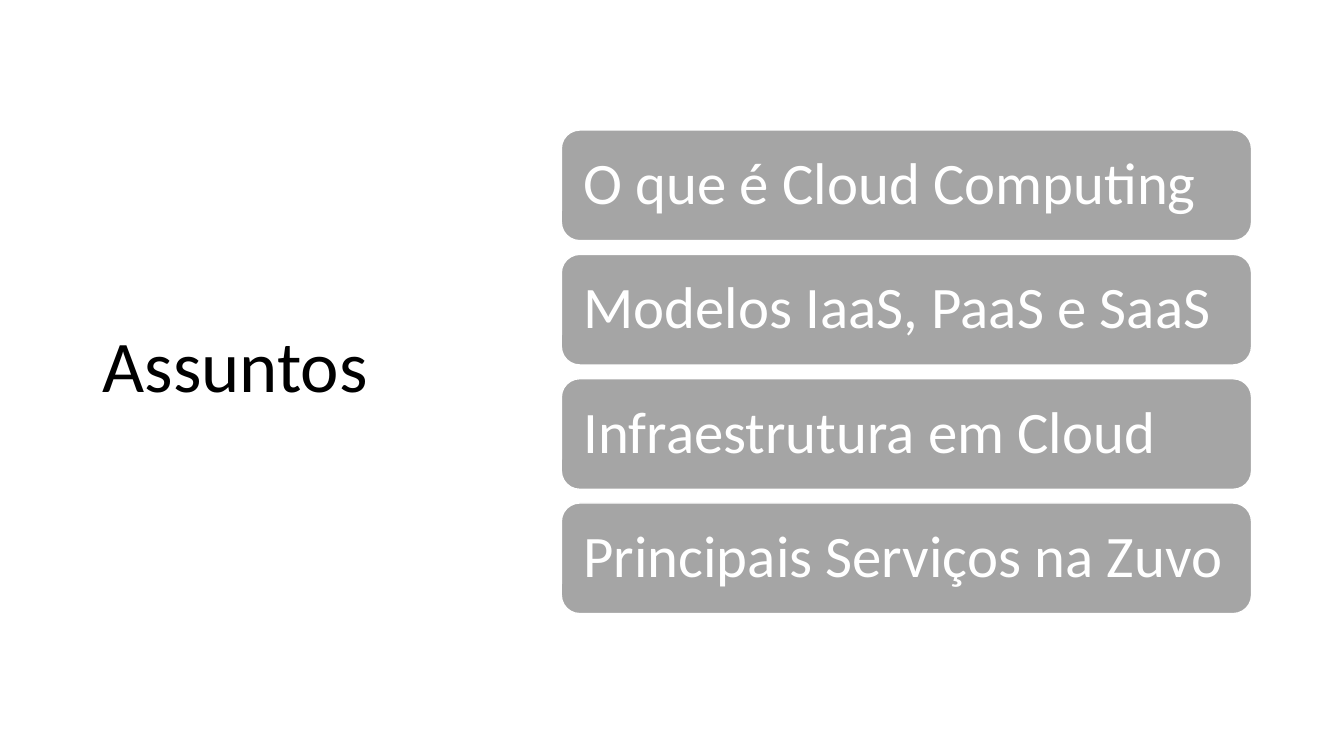
from dataclasses import dataclass

import pptx
import pptx.dml.color
import pptx.enum.shapes
import pptx.enum.text
import pptx.util

Pt = pptx.util.Pt
RGB = pptx.dml.color.RGBColor


@dataclass(frozen=True)
class Theme:
    font: str = "Calibri"
    title_size: int = 52
    topic_size: int = 42
    ink: RGB = RGB.from_string("000000")
    white: RGB = RGB.from_string("FFFFFF")
    bar: RGB = RGB.from_string("A5A5A5")


theme = Theme()


def write(shape, text, size, color):
    """Put one left-aligned, vertically centred line of text in the shape."""
    frame = shape.text_frame
    frame.word_wrap = True
    frame.vertical_anchor = pptx.enum.text.MSO_ANCHOR.MIDDLE
    paragraph = frame.paragraphs[0]
    paragraph.alignment = pptx.enum.text.PP_ALIGN.LEFT
    paragraph.line_spacing = 0.9
    run = paragraph.add_run()
    run.text = text
    run.font.name = theme.font
    run.font.size = Pt(size)
    run.font.color.rgb = color


deck = pptx.Presentation()
deck.slide_width = Pt(960)
deck.slide_height = Pt(540)
slide = deck.slides.add_slide(deck.slide_layouts[6])

heading = slide.shapes.add_textbox(Pt(66.2), Pt(43.9), Pt(265.7), Pt(438.5))
write(heading, "Assuntos", theme.title_size, theme.ink)

topics = [
    "O que é Cloud Computing",
    "Modelos IaaS, PaaS e SaaS",
    "Infraestrutura em Cloud",
    "Principais Serviços na Zuvo",
]
topics_left, topics_top = 401, 92.9
topic_width, topic_height, topic_pitch = 493, 79, 88.8
topic_inset = Pt(12)

for row, topic in enumerate(topics):
    bar = slide.shapes.add_shape(
        pptx.enum.shapes.MSO_SHAPE.ROUNDED_RECTANGLE,
        Pt(topics_left), Pt(topics_top + row * topic_pitch),
        Pt(topic_width), Pt(topic_height),
    )
    bar.shadow.inherit = False
    bar.fill.solid()
    bar.fill.fore_color.rgb = theme.bar
    bar.line.color.rgb = theme.white
    bar.line.width = Pt(1)
    frame = bar.text_frame
    frame.margin_left = frame.margin_right = topic_inset
    frame.margin_top = frame.margin_bottom = topic_inset
    write(bar, topic, theme.topic_size, theme.white)

deck.save("out.pptx")
